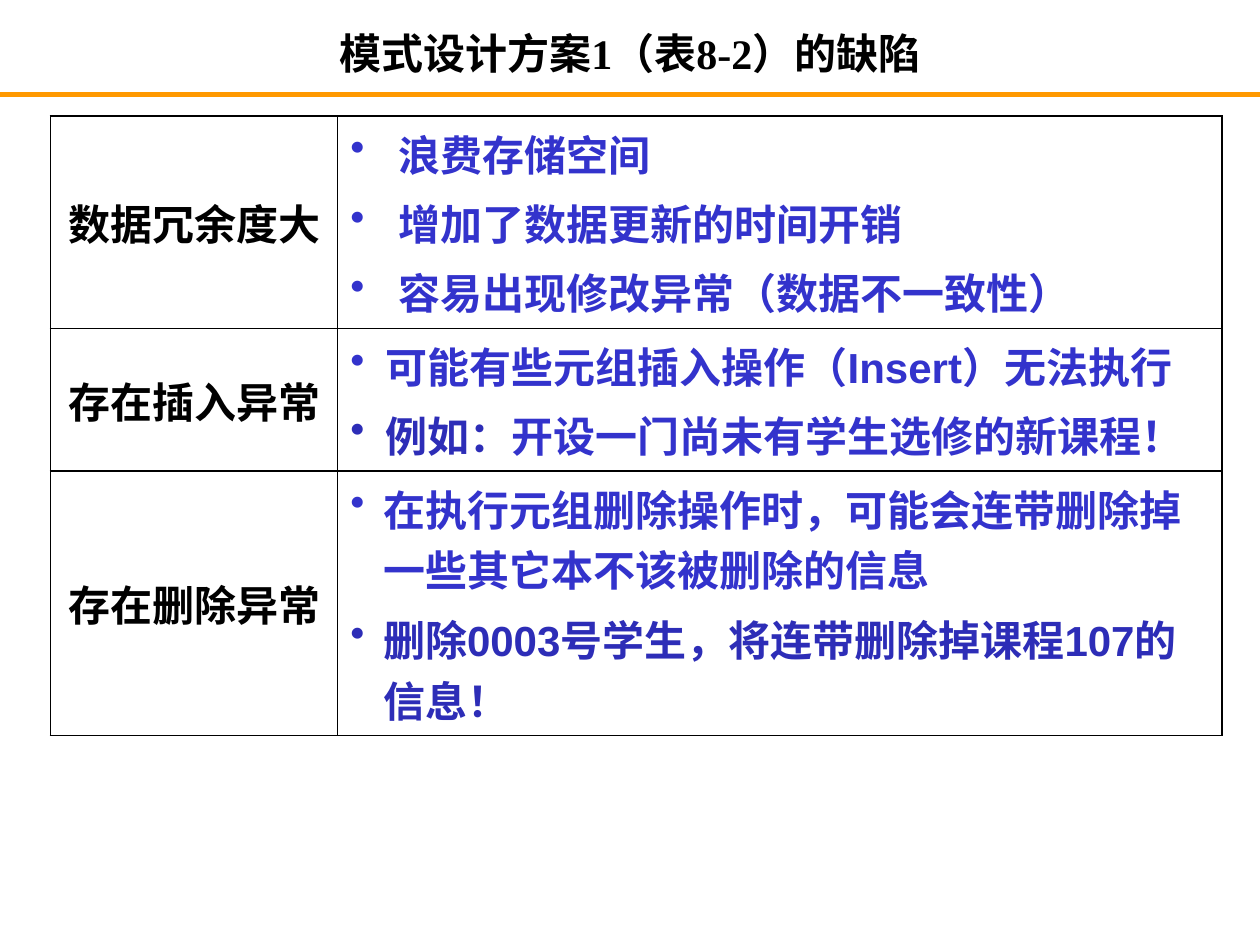
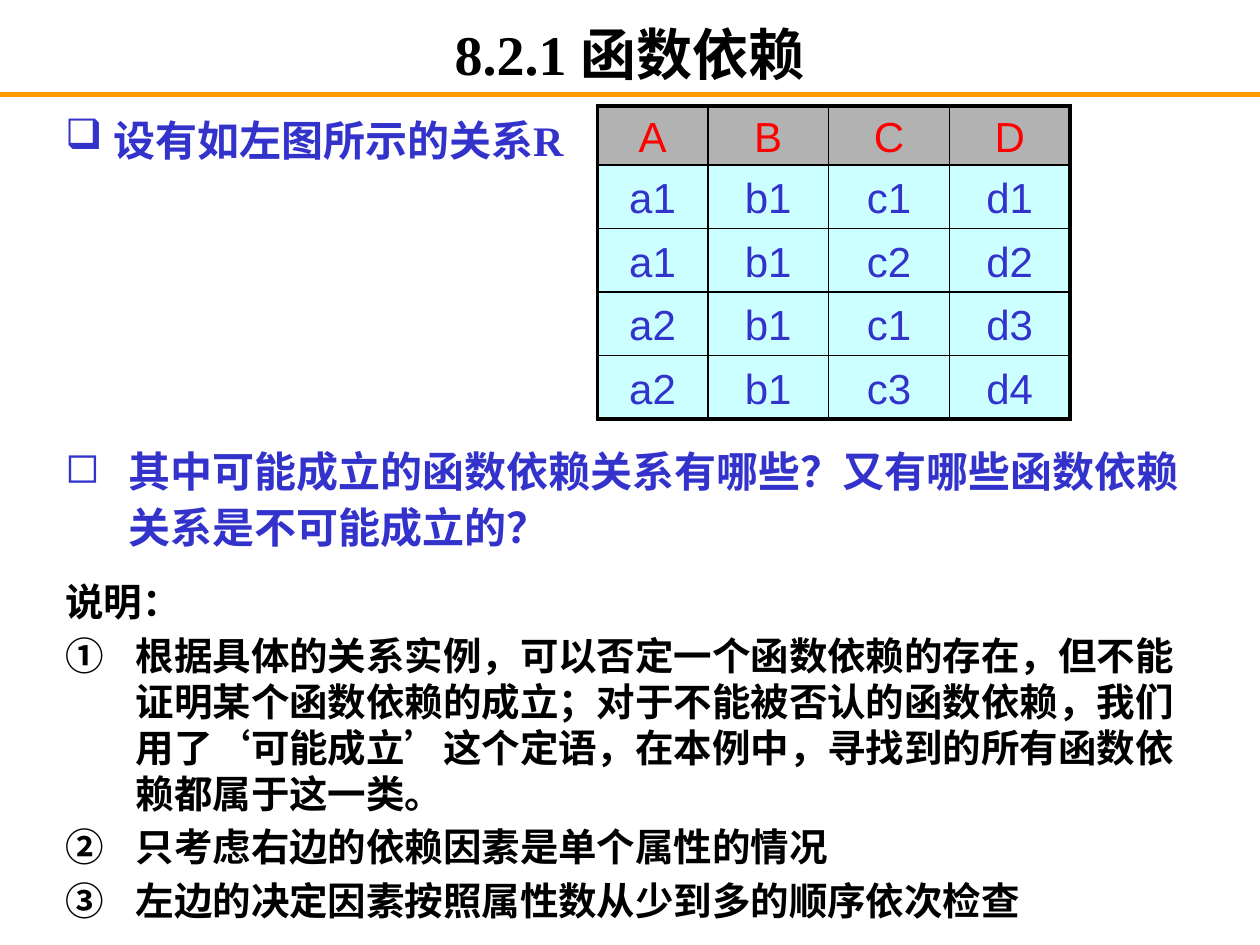
from lxml import etree
from pptx import Presentation
from pptx.dml.color import RGBColor
from pptx.enum import shapes, text
from pptx.oxml import ns
from pptx.util import Pt

BLACK = RGBColor(0, 0, 0)
BLUE = RGBColor(0x33, 0x33, 0xCC)
NAVY = RGBColor(0x2D, 0x2D, 0xB7)
RED = RGBColor(0xFF, 0, 0)
ORANGE = RGBColor(0xFF, 0x99, 0)
GREY = RGBColor(0xB2, 0xB2, 0xB2)
CYAN = RGBColor(0xCC, 0xFF, 0xFF)
MID = text.PP_ALIGN.CENTER
LEFT = text.PP_ALIGN.LEFT
SERIF = "Times New Roman"


def write(frame, lines, color, size=24, name="Arial", bold=True, align=LEFT,
          mark=None, hang=0, pitch=None):
    frame.word_wrap = True
    for i, runs in enumerate(lines):
        para = frame.paragraphs[0] if i == 0 else frame.add_paragraph()
        if mark:
            prop = para._p.get_or_add_pPr()
            prop.set("marL", str(Pt(hang)))
            prop.set("indent", str(-Pt(hang)))
            kind, key = ("buAutoNum", "type") if len(mark) > 1 else ("buChar", "char")
            etree.SubElement(prop, ns.qn("a:" + kind)).set(key, mark)
        look = {"alignment": align, "line_spacing": pitch,
                "space_before": Pt(size * 0.2 if i else 0)}
        for key, val in look.items():
            setattr(para, key, val)
        for part in [(runs, color)] if isinstance(runs, str) else runs:
            run = para.add_run()
            run.text = part[0]
            for key, val in {"size": Pt(size), "name": name, "bold": bold}.items():
                setattr(run.font, key, val)
            run.font.color.rgb = part[1]


def grid(slide, left, top, cols, rows, rim):
    table = slide.shapes.add_table(len(rows), len(cols), Pt(left), Pt(top),
                                   Pt(sum(cols)), Pt(sum(rows))).table
    table.first_row = table.horz_banding = False
    for col, wide in zip(table.columns, cols):
        col.width = Pt(wide)
    for row, high in zip(table.rows, rows):
        row.height = Pt(high)
    for r in range(len(rows)):
        for c in range(len(cols)):
            cell = table.cell(r, c)
            cell.vertical_anchor = text.MSO_ANCHOR.MIDDLE
            prop = cell._tc.get_or_add_tcPr()
            outer = {"L": c == 0, "R": c == len(cols) - 1,
                     "T": r == 0, "B": r == len(rows) - 1}
            for side, edge in outer.items():
                line = etree.SubElement(prop, ns.qn("a:ln" + side))
                line.set("w", str(Pt(rim if edge else 1)))
                fill = etree.SubElement(line, ns.qn("a:solidFill"))
                etree.SubElement(fill, ns.qn("a:srgbClr")).set("val", str(BLACK))
            cell.fill.background()
    return table


deck = Presentation()
deck.slide_width, deck.slide_height = Pt(720), Pt(540)
pages = []
for head, size in [("模式设计方案1（表8-2）的缺陷", 24), ("8.2.1 函数依赖", 32)]:
    page = deck.slides.add_slide(deck.slide_layouts[6])
    rule = page.shapes.add_connector(shapes.MSO_CONNECTOR.STRAIGHT,
                                     Pt(0), Pt(54), Pt(720), Pt(54))
    rule.line.color.rgb = ORANGE
    rule.line.width = Pt(3)
    etree.SubElement(rule._element.spPr, ns.qn("a:effectLst"))
    frame = page.shapes.add_textbox(Pt(54), Pt(12.2), Pt(612), Pt(36)).text_frame
    frame.margin_top = frame.margin_bottom = 0
    frame.vertical_anchor = text.MSO_ANCHOR.MIDDLE
    write(frame, [head], BLACK, size, SERIF, align=MID)
    pages.append(page)
flaws, depend = pages

faults = [
    ("数据冗余度大", 27.4, ["浪费存储空间", "增加了数据更新的时间开销",
                      "容易出现修改异常（数据不一致性）"]),
    ("存在插入异常", 20.2, ["可能有些元组插入操作（Insert）无法执行",
                      [("例如：", NAVY), ("开设一门尚未有学生选修的新课程！", BLUE)]]),
    ("存在删除异常", 18.7, ["在执行元组删除操作时，可能会连带删除掉一些其它本不该被删除的信息",
                      [("删除0003号学生，将连带删除掉课程107的信息！", NAVY)]]),
]
table = grid(flaws, 28.8, 66.2, [164.2, 505.4], [121.5, 81.5, 151.2], 1)
for r, (fault, hang, notes) in enumerate(faults):
    write(table.cell(r, 0).text_frame, [fault], BLACK, align=MID)
    write(table.cell(r, 1).text_frame, notes, BLUE, mark="•", hang=hang)

intro = depend.shapes.add_textbox(Pt(30.2), Pt(60.5), Pt(660), Pt(41.8))
write(intro.text_frame, ["设有如左图所示的关系R"], BLUE, name=SERIF,
      mark="❑", hang=27.4, pitch=Pt(30))

data = ["A B C D", "a1 b1 c1 d1", "a1 b1 c2 d2", "a2 b1 c1 d3", "a2 b1 c3 d4"]
table = grid(depend, 341.3, 60.5, [63.2] + [69] * 3, [33.8] + [36.3] * 4, 2.25)
for r, row in enumerate(data):
    for c, item in enumerate(row.split()):
        cell = table.cell(r, c)
        cell.margin_top = cell.margin_bottom = 0
        cell.fill.solid()
        cell.fill.fore_color.rgb = CYAN if r else GREY
        write(cell.text_frame, [item], BLUE if r else RED, bold=False,
              align=MID, pitch=1.1)

query = depend.shapes.add_textbox(Pt(30.2), Pt(248), Pt(666), Pt(90))
write(query.text_frame, ["其中可能成立的函数依赖关系有哪些？又有哪些函数依赖关系是不可能成立的？"],
      BLUE, name=SERIF, mark="◻", hang=36, pitch=Pt(32))

points = [
    "根据具体的关系实例，可以否定一个函数依赖的存在，但不能证明某个函数依赖的成立；"
    "对于不能被否认的函数依赖，我们用了‘可能成立’这个定语，在本例中，"
    "寻找到的所有函数依赖都属于这一类。",
    "只考虑右边的依赖因素是单个属性的情况",
    "左边的决定因素按照属性数从少到多的顺序依次检查",
]
for top, high, lines, mark in [(327, 34, ["说明："], None),
                               (357.5, 180, points, "circleNumDbPlain")]:
    box = depend.shapes.add_textbox(Pt(30.2), Pt(top), Pt(660), Pt(high))
    write(box.text_frame, lines, BLACK, 22, mark=mark, hang=40.3, pitch=Pt(26.3))

deck.save("out.pptx")
